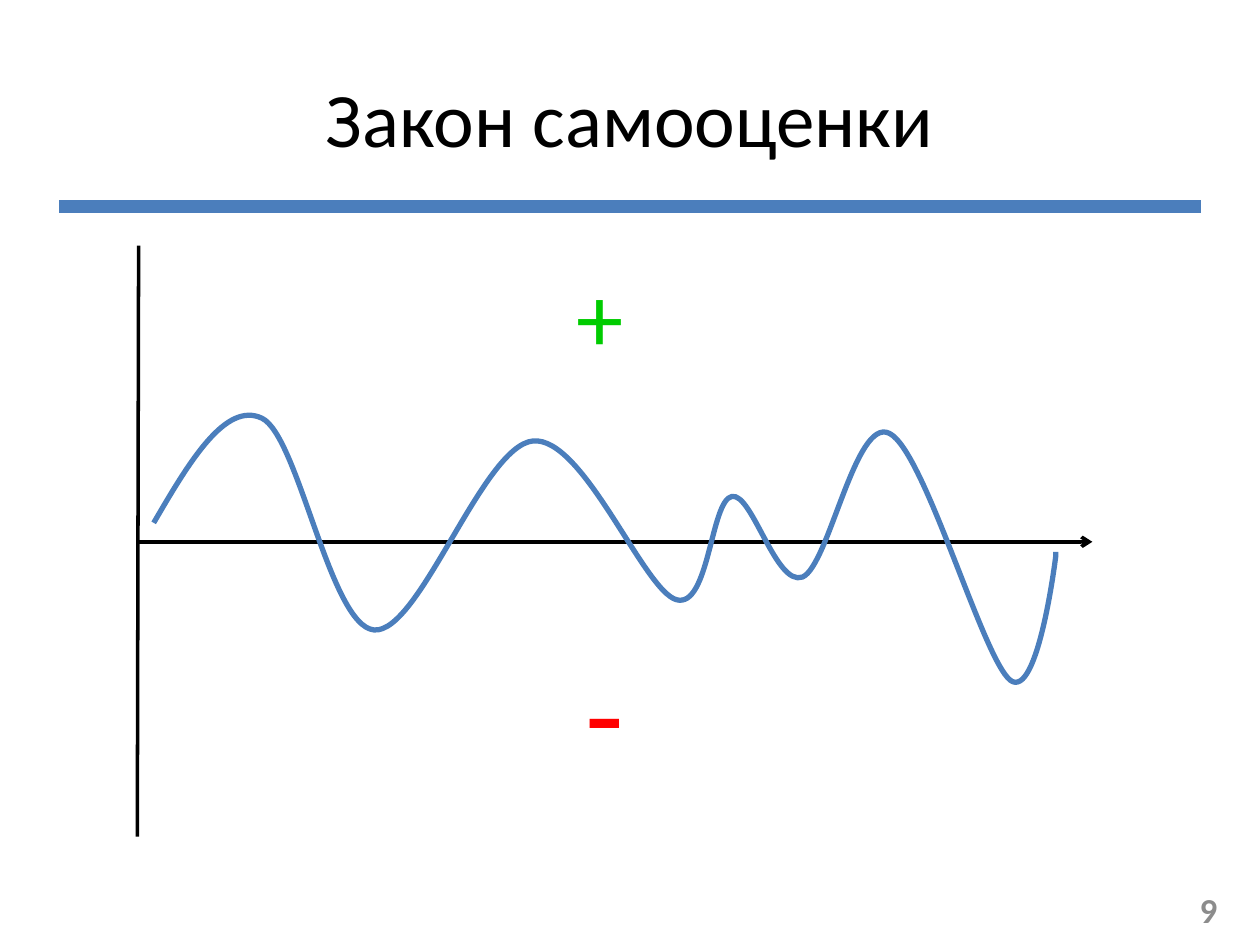
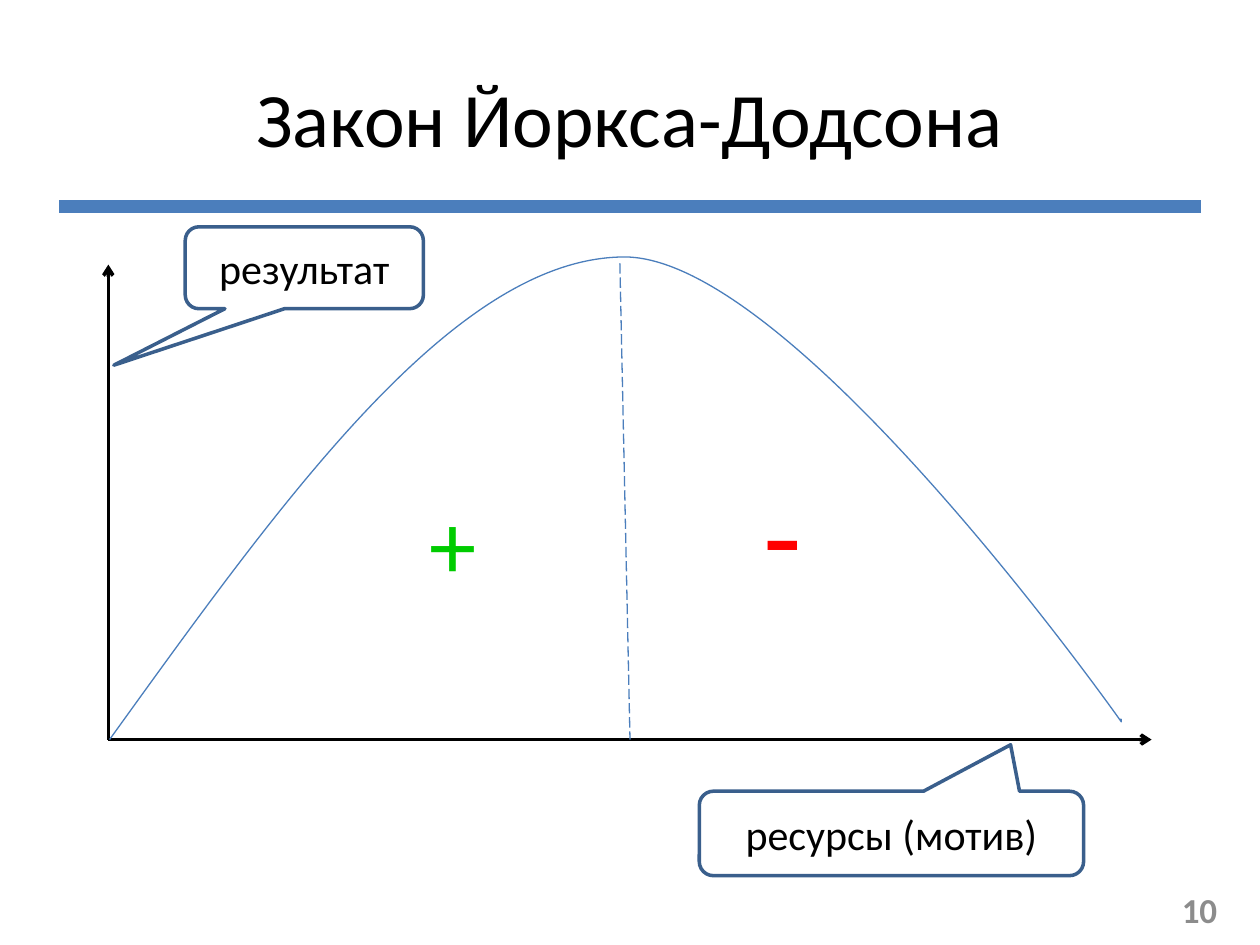
from lxml import etree
from pptx import Presentation
from pptx.dml.color import RGBColor
from pptx.enum.dml import MSO_LINE
from pptx.enum.shapes import MSO_CONNECTOR, MSO_SHAPE
from pptx.enum.text import MSO_ANCHOR, PP_ALIGN
from pptx.oxml.ns import qn
from pptx.util import Pt

PX = 9144  # 100 px to the inch
STRAIGHT = MSO_CONNECTOR.STRAIGHT
ELLIPSE = MSO_SHAPE.OVAL
CALLOUT = MSO_SHAPE.ROUNDED_RECTANGULAR_CALLOUT
LONG_DASH = MSO_LINE.LONG_DASH
MIDDLE = MSO_ANCHOR.MIDDLE
CENTER, RIGHT = PP_ALIGN.CENTER, PP_ALIGN.RIGHT

FONT = "Calibri"
COLORS = {
    "black": "000000",
    "blue": "4B7EBC",
    "outline": "3A5F8C",
    "gray": "8C8C8C",
    "green": "00CC00",
    "red": "FF0000",
}

# Size of the circle and of the text for each sign
SIGNS = {
    "+": {"width": 125, "height": 94, "size": 54, "color": "green"},
    "-": {"width": 148, "height": 125, "size": 72, "color": "red"},
}

# Lines: start, end, colour, width, arrow, dash
# Curves: start point, then two control points and an end point per segment;
# a single point left at the end is reached by a straight line
SLIDES = [
    {
        "title": "Закон самооценки",
        "number": "9",
        "lines": [
            ((110, 195), (109, 664), "black", 2, False, None),
            ((109, 430), (867, 430), "black", 2, True, None),
        ],
        "curve_width": 3,
        "curve": [
            (122, 415),
            (150, 367), (179, 318), (208, 332),
            (237, 346), (262, 497), (297, 500),
            (333, 503), (383, 354), (423, 350),
            (463, 346), (511, 469), (537, 476),
            (563, 483), (564, 397), (581, 394),
            (597, 391), (616, 466), (637, 458),
            (658, 449), (679, 330), (706, 344),
            (734, 358), (780, 523), (802, 540),
            (824, 556), (838, 441), (838, 441),
            (838, 438),
        ],
        "callouts": [],
        "signs": [("+", 414, 203), ("-", 406, 500)],
    },
    {
        "title": "Закон Йоркса-Додсона",
        "number": "10",
        "lines": [
            ((86, 587), (86, 210), "black", 2, True, None),
            ((86, 587), (914, 587), "black", 2, True, None),
            ((492, 209), (500, 587), "blue", 0.75, False, LONG_DASH),
        ],
        "curve_width": 0.75,
        "curve": [
            (87, 587),
            (224, 397), (360, 206), (494, 204),
            (628, 201), (890, 573), (890, 573),
            (890, 573), (890, 572), (890, 571),
            (889, 571), (889, 571), (888, 571),
        ],
        "callouts": [
            ("ресурсы (мотив)", (555, 628, 305, 67), (0.31, -1.05)),
            ("результат", (147, 180, 189, 65), (-0.8, 1.19)),
        ],
        "signs": [("-", 547, 359), ("+", 297, 383)],
    },
]


def write_text(box, text, size, color="black", align=CENTER, bold=False):
    frame = box.text_frame
    frame.word_wrap = True
    frame.vertical_anchor = MIDDLE
    para = frame.paragraphs[0]
    para.alignment = align
    span = para.add_run()
    span.text = text
    span.font.name = FONT
    span.font.size = Pt(size)
    span.font.bold = bold
    span.font.color.rgb = RGBColor.from_string(COLORS[color])


def draw_line(page, start, end, color, width, arrow=False, dash=None):
    connector = page.shapes.add_connector(
        STRAIGHT, *[value * PX for value in (*start, *end)])
    line = connector.line
    line.color.rgb = RGBColor.from_string(COLORS[color])
    line.width = Pt(width)
    if dash:
        line.dash_style = dash
    properties = connector._element.spPr
    if arrow:
        outline = properties.find(qn("a:ln"))
        etree.SubElement(outline, qn("a:tailEnd"), type="arrow")
    etree.SubElement(properties, qn("a:effectLst"))
    return connector


deck = Presentation()
deck.slide_width = 1000 * PX
deck.slide_height = 750 * PX
title_only = deck.slide_layouts[5]

for content in SLIDES:
    page = deck.slides.add_slide(title_only)

    # Title
    title = page.shapes.title
    title.left, title.top = 50 * PX, 30 * PX
    title.width, title.height = 900 * PX, 125 * PX
    write_text(title, content["title"], size=44)

    # Axes and guide
    for line_data in content["lines"]:
        draw_line(page, *line_data)

    # Curve: each three straight steps become one Bezier segment
    start, *knots = content["curve"]
    builder = page.shapes.build_freeform(*start, scale=PX)
    builder.add_line_segments(knots, close=False)
    curve = builder.convert_to_shape()
    steps = list(curve._element.iter(qn("a:lnTo")))
    for first in range(0, len(steps) - 2, 3):
        segment = etree.Element(qn("a:cubicBezTo"))
        steps[first].addprevious(segment)
        for step in steps[first:first + 3]:
            segment.append(step[0])
            step.getparent().remove(step)
    curve.shadow.inherit = False
    curve.fill.background()
    curve.line.color.rgb = RGBColor.from_string(COLORS["blue"])
    curve.line.width = Pt(content["curve_width"])

    # Axis callouts
    for text, place, tip in content["callouts"]:
        callout = page.shapes.add_shape(CALLOUT, *[value * PX for value in place])
        callout.adjustments[0], callout.adjustments[1] = tip
        callout.shadow.inherit = False
        callout.fill.background()
        callout.line.color.rgb = RGBColor.from_string(COLORS["outline"])
        callout.line.width = Pt(2)
        write_text(callout, text, size=24)

    # Slide number
    number = page.shapes.add_textbox(743 * PX, 702 * PX, 233 * PX, 40 * PX)
    write_text(number, content["number"], size=20, color="gray",
               align=RIGHT, bold=True)

    # Plus and minus signs
    for sign, left, top in content["signs"]:
        style = SIGNS[sign]
        circle = page.shapes.add_shape(
            ELLIPSE, left * PX, top * PX, style["width"] * PX, style["height"] * PX)
        circle.shadow.inherit = False
        circle.fill.background()
        circle.line.fill.background()
        write_text(circle, sign, size=style["size"], color=style["color"])

# Band under every title, moved to the shared layout
band = draw_line(page, (47, 164), (953, 164), "blue", 7)
title_only.shapes._spTree.append(band._element)

deck.save("out.pptx")
